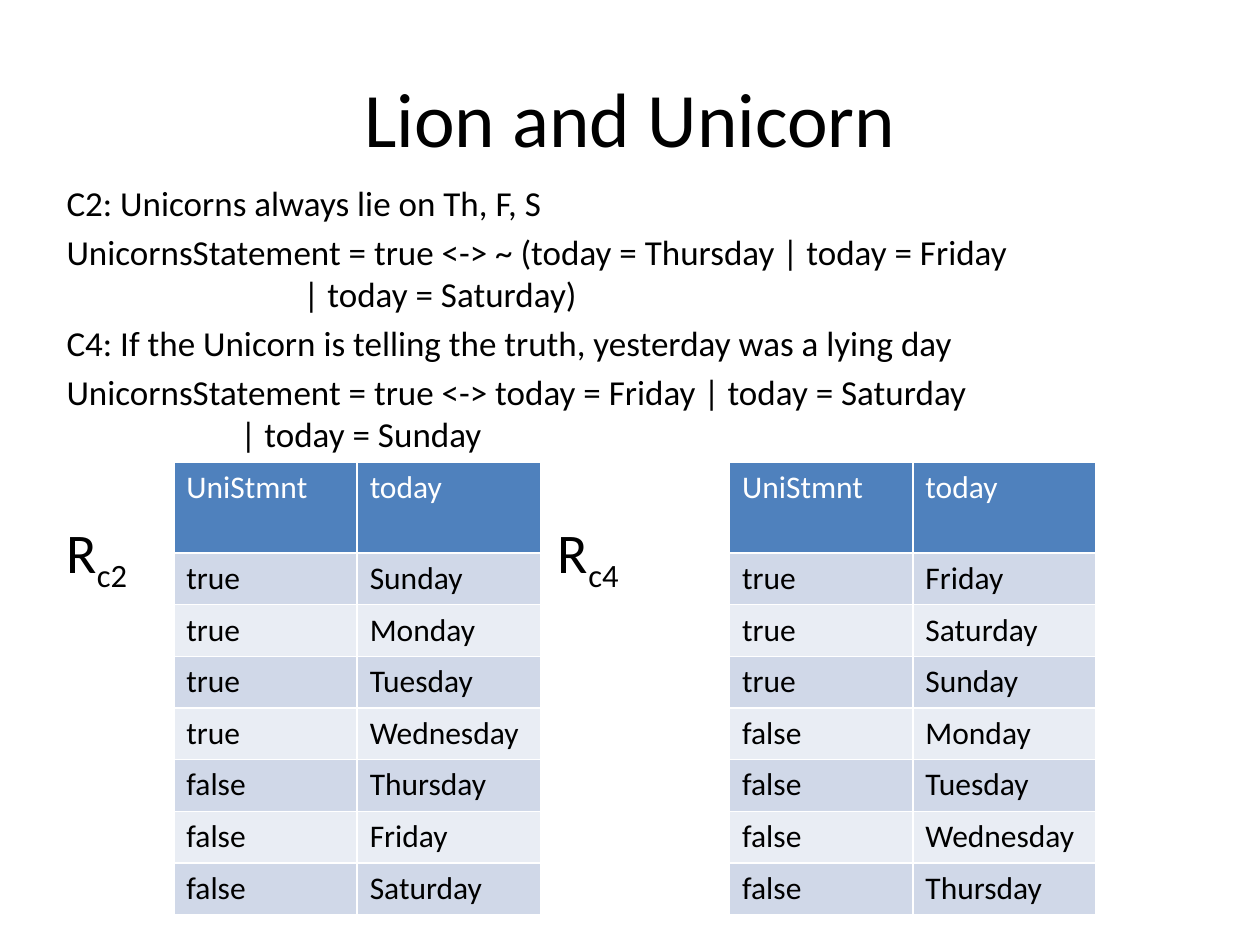
from pptx import Presentation
from pptx.dml.color import RGBColor
from pptx.enum.text import MSO_ANCHOR, PP_ALIGN
from pptx.util import Inches, Pt

CENTER = PP_ALIGN.CENTER
MIDDLE = MSO_ANCHOR.MIDDLE
BLACK = RGBColor(0x00, 0x00, 0x00)
WHITE = RGBColor(0xFF, 0xFF, 0xFF)
HEADER_BLUE = RGBColor(0x4F, 0x81, 0xBD)
BANDS = [RGBColor(0xD0, 0xD8, 0xE8), RGBColor(0xE9, 0xED, 0xF4)]
FONT = "Calibri"

STATEMENTS = [
    "C2: Unicorns always lie on Th, F, S",
    "UnicornsStatement = true <-> ~ (today = Thursday | today = Friday"
    "\v\t\t\t| today = Saturday)",
    "C4: If the Unicorn is telling the truth, yesterday was a lying day",
    "UnicornsStatement = true <-> today = Friday | today = Saturday"
    "\v\t\t| today = Sunday",
]
DAYS = ["Sunday", "Monday", "Tuesday", "Wednesday", "Thursday", "Friday", "Saturday"]
# Subscript, label left, table left, first day listed, number of true rows
RELATIONS = [("c2", 0.43, 1.38, 0, 4), ("c4", 4.33, 5.79, 5, 3)]


def style_font(p, size, color=BLACK):
    p.font.name = FONT
    p.font.size = Pt(size)
    p.font.bold = False
    p.font.color.rgb = color


def add_text_frame(left, top, width, height):
    box = s.shapes.add_textbox(Inches(left), Inches(top), Inches(width), Inches(height))
    box.text_frame.word_wrap = True
    return box.text_frame


prs = Presentation()
prs.slide_width, prs.slide_height = Inches(10), Inches(7.5)
s = prs.slides.add_slide(prs.slide_layouts[6])

tf = add_text_frame(0.5, 0.3, 9, 1.25)
tf.vertical_anchor = MIDDLE
p = tf.paragraphs[0]
p.text = "Lion and Unicorn"
p.alignment = CENTER
style_font(p, 44)

tf = add_text_frame(0.43, 1.39, 9, 2.3)
for i, statement in enumerate(STATEMENTS):
    p = tf.add_paragraph() if i else tf.paragraphs[0]
    p.text = statement
    p.space_before = Pt(4)
    style_font(p, 20)
    pPr = p._p.get_or_add_pPr()
    pPr.set("marL", str(Inches(0.38)))
    pPr.set("indent", str(-Inches(0.38)))

for subscript, label_left, table_left, first_day, true_count in RELATIONS:
    p = add_text_frame(label_left, 4.06, 0.9, 0.65).paragraphs[0]
    style_font(p, 32)
    p.add_run().text = "R"
    r = p.add_run()
    r.text = subscript
    r._r.get_or_add_rPr().set("baseline", "-25000")

    rows = [("UniStmnt", "today")]
    for i in range(len(DAYS)):
        truth = "true" if i < true_count else "false"
        rows.append((truth, DAYS[(first_day + i) % len(DAYS)]))

    table = s.shapes.add_table(len(rows), 2, Inches(table_left), Inches(3.67),
                               Inches(2.91), Inches(3.6)).table
    for i, values in enumerate(rows):
        table.rows[i].height = Inches(0.41 if i else 0.72)
        for j, value in enumerate(values):
            cell = table.cell(i, j)
            cell.text = value
            cell.fill.solid()
            cell.fill.fore_color.rgb = BANDS[(i - 1) % 2] if i else HEADER_BLUE
            style_font(cell.text_frame.paragraphs[0], 18, BLACK if i else WHITE)

prs.save("out.pptx")
